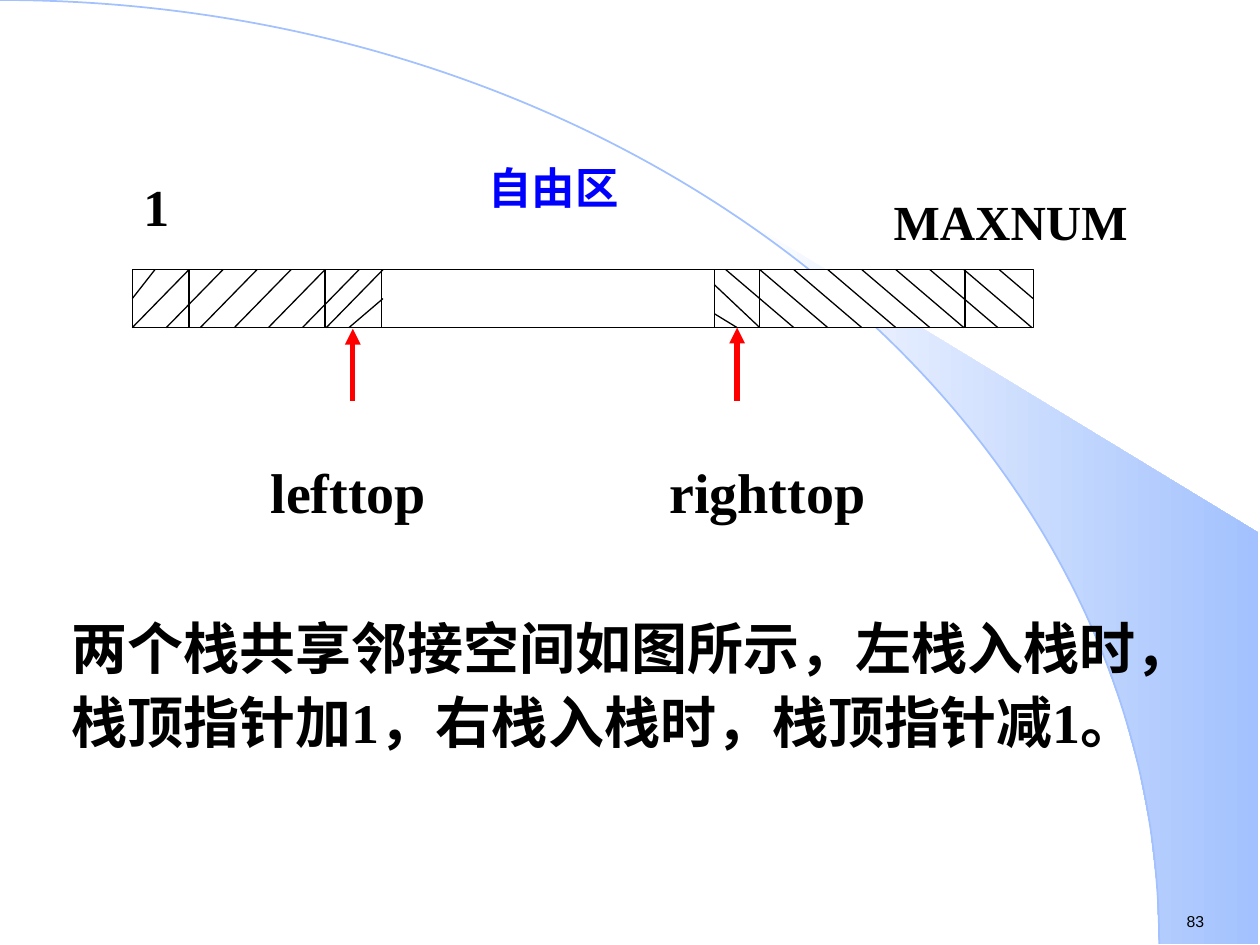
import math
import pptx
import pptx.util
import pptx.dml.color
import pptx.enum.shapes
import pptx.enum.text
import pptx.oxml
import pptx.oxml.ns

WIDTH, HEIGHT = 10, 7.5
BLACK, WHITE, BLUE, RED, SKY = "000000", "FFFFFF", "0000FF", "FF0000", "A2C1FE"
SERIF = "Times New Roman"

ARC_WIDTH, ARC_HEIGHT, ROUNDNESS = 9.2, 7.49, 0.55
WEDGE_LEFT, WEDGE_RIGHT, WEDGE_CORNER, WEDGE_STEPS = 5.89, 9.99, 4.23, 14

BAR_LEFT, BAR_RIGHT, BAR_TOP, BAR_BOTTOM = 1.05, 8.2, 2.14, 2.6
LEFT_STACK_END, RIGHT_STACK_START = 3.03, 5.67
CELL_DIVIDERS = [1.5, 2.58, LEFT_STACK_END, RIGHT_STACK_START, 6.03, 7.66]
PITCH, LEFT_RUN, RIGHT_RUN = 0.27, 0.45, 0.54
CLIPPED_HATCHES = [
    ((1.23, BAR_TOP), (BAR_LEFT, 2.37)),
    ((3.04, BAR_TOP), (2.59, BAR_BOTTOM)),
    ((3.04, 2.37), (2.77, BAR_BOTTOM)),
    ((7.93, BAR_TOP), (BAR_RIGHT, 2.37)),
    ((RIGHT_STACK_START, 2.26), (6.03, BAR_BOTTOM)),
    ((RIGHT_STACK_START, 2.49), (5.85, BAR_BOTTOM)),
]
POINTERS, POINTER_START = [(2.8, 2.61), (5.85, BAR_BOTTOM)], 3.18

CENTER = pptx.enum.text.PP_ALIGN.CENTER
LEFT = pptx.enum.text.PP_ALIGN.LEFT
GROW = pptx.enum.text.MSO_AUTO_SIZE.SHAPE_TO_FIT_TEXT
FIXED = pptx.enum.text.MSO_AUTO_SIZE.NONE
PAGE = {"word_wrap": False, "auto_size": GROW}
CAPTION = {"word_wrap": True, "auto_size": FIXED}
BODY = {"word_wrap": True, "auto_size": GROW}
LABELS = [
    ("83", (9.32, 7.19, 0.77, 0.25), PAGE, 9, "Arial", None, BLACK, LEFT, None),
    ("自由区", (3.58, 1.31, 1.63, 0.55), CAPTION, 24.8, SERIF, True, BLUE, CENTER, 0.8),
    ("lefttop", (2.04, 3.58, 1.45, 0.8), CAPTION, 32, SERIF, True, BLACK, CENTER, None),
    ("righttop", (5.13, 3.58, 1.92, 0.73), CAPTION, 32, SERIF, True, BLACK, CENTER, None),
    ("1", (0.83, 1.39, 0.82, 0.63), CAPTION, 29.6, SERIF, True, BLACK, CENTER, 0.9),
    ("MAXNUM", (6.63, 1.47, 2.78, 0.71), CAPTION, 28, SERIF, True, BLACK, CENTER, None),
    ("两个栈共享邻接空间如图所示，左栈入栈时，栈顶指针加1，右栈入栈时，栈顶指针减1。",
     (0.47, 4.77, 9.14, 1.28), BODY, 32, SERIF, True, BLACK, LEFT, 1.1),
]


def color(value):
    return pptx.dml.color.RGBColor.from_string(value)


def inches(values):
    return [pptx.util.Inches(value) for value in values]


def set_line(target, value, points):
    target.line.color.rgb = color(value)
    target.line.width = pptx.util.Pt(points)


def add_outline(slide, points, close):
    first, *rest = [inches(point) for point in points]
    builder = slide.shapes.build_freeform(*first)
    builder.add_line_segments(rest, close=close)
    outline = builder.convert_to_shape()
    outline.shadow.inherit = False
    return outline


def add_wedge(slide):
    start = math.asin(WEDGE_LEFT / ARC_WIDTH)
    step = (math.pi / 2 - start) / WEDGE_STEPS
    angles = [start + step * i for i in range(WEDGE_STEPS + 1)]
    edge = [(ARC_WIDTH * math.sin(a), ARC_HEIGHT * (1 - math.cos(a))) for a in angles]
    corners = [(WEDGE_RIGHT, ARC_HEIGHT), (WEDGE_RIGHT, WEDGE_CORNER)]
    wedge = add_outline(slide, edge + corners, True)
    wedge.fill.gradient()
    wedge.fill.gradient_angle = 0
    for stop, value in zip(wedge.fill.gradient_stops, (WHITE, SKY)):
        stop.color.rgb = color(value)
    wedge.line.fill.background()


def add_arc(slide):
    end = (ARC_WIDTH, ARC_HEIGHT)
    arc = add_outline(slide, [(0, 0), end], False)
    straight = arc._element.find(".//" + pptx.oxml.ns.qn("a:lnTo"))
    curve = straight.makeelement(pptx.oxml.ns.qn("a:cubicBezTo"), {})
    for point in [(ARC_WIDTH * ROUNDNESS, 0), (ARC_WIDTH, ARC_HEIGHT * (1 - ROUNDNESS)), end]:
        x, y = inches(point)
        attributes = {"x": str(int(x)), "y": str(int(y))}
        curve.append(curve.makeelement(pptx.oxml.ns.qn("a:pt"), attributes))
    straight.getparent().replace(straight, curve)
    arc.fill.background()
    set_line(arc, SKY, 1)


def add_line(slide, start, end, value=BLACK, points=0.75, arrow=False):
    line = slide.shapes.add_connector(
        pptx.enum.shapes.MSO_CONNECTOR.STRAIGHT, *inches(start + end))
    set_line(line, value, points)
    if arrow:
        head = pptx.oxml.ns.qn("a:tailEnd")
        line.line._get_or_add_ln().append(line._element.makeelement(head, {"type": "triangle"}))
    properties = line._element.spPr
    properties.append(properties.makeelement(pptx.oxml.ns.qn("a:effectLst"), {}))


def add_bar(slide):
    bar = slide.shapes.add_shape(
        pptx.enum.shapes.MSO_SHAPE.RECTANGLE,
        *inches((BAR_LEFT, BAR_TOP, BAR_RIGHT - BAR_LEFT, BAR_BOTTOM - BAR_TOP)))
    bar.shadow.inherit = False
    bar.fill.solid()
    bar.fill.fore_color.rgb = color(WHITE)
    set_line(bar, BLACK, 0.75)
    left_tops = [1.5 + PITCH * i for i in range(6)]
    right_tops = [5.76 + PITCH * i for i in range(8)]
    dividers = [((x, BAR_TOP), (x, BAR_BOTTOM)) for x in CELL_DIVIDERS]
    left_hatches = [((x, BAR_TOP), (x - LEFT_RUN, BAR_BOTTOM)) for x in left_tops]
    right_hatches = [((x, BAR_TOP), (x + RIGHT_RUN, BAR_BOTTOM)) for x in right_tops]
    for start, end in dividers + left_hatches + right_hatches + CLIPPED_HATCHES:
        add_line(slide, start, end)
    for x, tip in POINTERS:
        add_line(slide, (x, POINTER_START), (x, tip), RED, 3, True)


def add_label(slide, words, place, fit, size, family, bold, value, alignment, spacing):
    frame = slide.shapes.add_textbox(*inches(place)).text_frame
    paragraph = frame.paragraphs[0]
    run = paragraph.add_run()
    run.text = words
    formats = [
        (frame, fit),
        (paragraph, {"alignment": alignment, "line_spacing": spacing}),
        (run.font, {"size": pptx.util.Pt(size), "name": family, "bold": bold}),
    ]
    for target, settings in formats:
        for key, setting in settings.items():
            setattr(target, key, setting)
    run.font.color.rgb = color(value)


def main():
    deck = pptx.Presentation()
    deck.slide_width, deck.slide_height = inches((WIDTH, HEIGHT))
    slide = deck.slides.add_slide(deck.slide_layouts[6])
    add_wedge(slide)
    add_arc(slide)
    add_bar(slide)
    for label in LABELS:
        add_label(slide, *label)
    deck.save("out.pptx")


if __name__ == "__main__":
    main()
